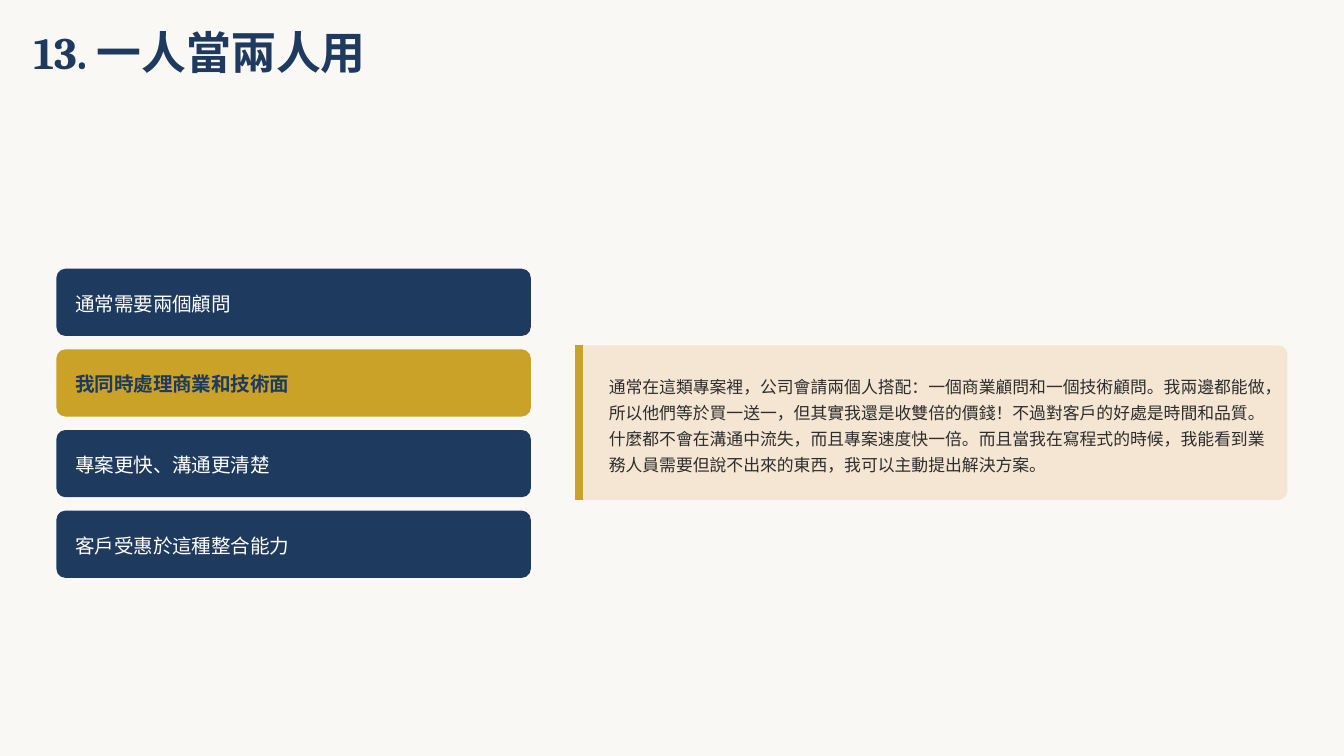
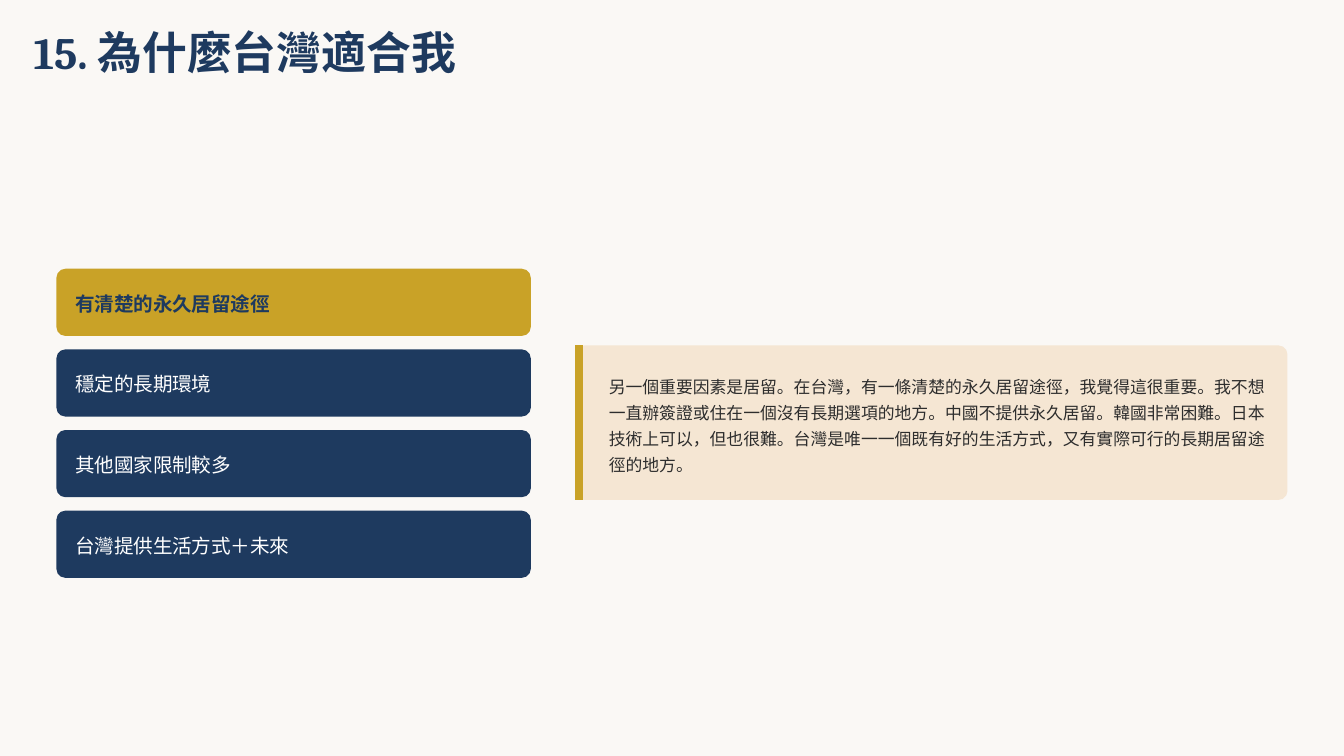
import pptx
import pptx.util
import pptx.dml.color
import pptx.enum.shapes
import pptx.oxml.ns
from lxml import etree

Inches = pptx.util.Inches
Pt = pptx.util.Pt
RGBColor = pptx.dml.color.RGBColor

# Shared style
NAVY = RGBColor(0x1E, 0x3A, 0x5F)
GOLD = RGBColor(0xC9, 0xA2, 0x27)
SAND = RGBColor(0xF5, 0xE6, 0xD3)
CREAM = RGBColor(0xFA, 0xF8, 0xF5)
WHITE = RGBColor(0xFF, 0xFF, 0xFF)
CHARCOAL = RGBColor(0x2D, 0x2D, 0x2D)
TITLE_FONT = "Cambria"
BODY_FONT = "Arial"

# Column of key points
POINT_LEFT, POINT_TOP = 0.42, 2
POINT_WIDTH, POINT_HEIGHT = 3.53, 0.5
POINT_STEP = 0.6

# Story panel
STORY_LEFT, STORY_TOP = 4.28, 2.57
STORY_WIDTH, STORY_HEIGHT = 5.3, 1.15
CORNER_RADIUS = 1 / 15


class Deck:
    """Holds the presentation, its style and the current slide."""

    def __init__(self):
        self.presentation = pptx.Presentation()
        # Widescreen 16:9
        self.presentation.slide_width = Inches(10)
        self.presentation.slide_height = Inches(10 * 9 / 16)
        self.slide = None

    def add_slide(self):
        self.slide = self.presentation.slides.add_slide(self.presentation.slide_layouts[6])
        background = self.slide.background.fill
        background.solid()
        background.fore_color.rgb = CREAM

    def text(self, content, left, top, width, height, size, line_spacing, color,
             font_name=BODY_FONT, bold=False):
        box = self.slide.shapes.add_textbox(
            Inches(left), Inches(top), Inches(width), Inches(height))
        frame = box.text_frame
        frame.word_wrap = True
        frame.margin_left = frame.margin_right = frame.margin_top = frame.margin_bottom = 0
        paragraph = frame.paragraphs[0]
        paragraph.text = content
        paragraph.line_spacing = Pt(line_spacing)
        paragraph.font.name = font_name
        paragraph.font.size = Pt(size)
        paragraph.font.bold = bold
        paragraph.font.color.rgb = color

    def card(self, left, top, width, height, color):
        shape = self.slide.shapes.add_shape(
            pptx.enum.shapes.MSO_SHAPE.ROUNDED_RECTANGLE,
            Inches(left), Inches(top), Inches(width), Inches(height))
        shape.adjustments[0] = CORNER_RADIUS / height
        shape.shadow.inherit = False
        shape.fill.solid()
        shape.fill.fore_color.rgb = color
        shape.line.fill.background()

    def vertical_line(self, left, top, height, color, weight):
        line = self.slide.shapes.add_connector(
            pptx.enum.shapes.MSO_CONNECTOR.STRAIGHT,
            Inches(left), Inches(top), Inches(left), Inches(top + height))
        line.line.color.rgb = color
        line.line.width = Pt(weight)
        properties = line.element.find(pptx.oxml.ns.qn("p:spPr"))
        etree.SubElement(properties, pptx.oxml.ns.qn("a:effectLst"))

    def title(self, content):
        self.text(content, 0.25, 0.25, 4.86, 0.33, 24, 24, NAVY, TITLE_FONT, bold=True)

    def points(self, labels, highlighted):
        for index, label in enumerate(labels):
            top = POINT_TOP + index * POINT_STEP
            is_key = index == highlighted
            self.card(POINT_LEFT, top, POINT_WIDTH, POINT_HEIGHT, GOLD if is_key else NAVY)
            self.text(label, POINT_LEFT + 0.14, top + 0.14, 3.31, 0.2, 10.5, 14.7,
                      NAVY if is_key else WHITE, bold=is_key)

    def story(self, content):
        self.card(STORY_LEFT, STORY_TOP, STORY_WIDTH, STORY_HEIGHT, SAND)
        self.vertical_line(STORY_LEFT + 0.03, STORY_TOP, STORY_HEIGHT, GOLD, 4.5)
        self.text(content, STORY_LEFT + 0.25, STORY_TOP + 0.19, 4.96, 0.77, 9, 13.9, CHARCOAL)


# Slide content: title, key points, index of the highlighted point, story
SLIDES = [
    (
        "13. 一人當兩人用",
        ["通常需要兩個顧問", "我同時處理商業和技術面", "專案更快、溝通更清楚", "客戶受惠於這種整合能力"],
        1,
        "通常在這類專案裡，公司會請兩個人搭配：一個商業顧問和一個技術顧問。我兩邊都能做，"
        "所以他們等於買一送一，但其實我還是收雙倍的價錢！不過對客戶的好處是時間和品質。"
        "什麼都不會在溝通中流失，而且專案速度快一倍。而且當我在寫程式的時候，"
        "我能看到業務人員需要但說不出來的東西，我可以主動提出解決方案。",
    ),
    (
        "15. 為什麼台灣適合我",
        ["有清楚的永久居留途徑", "穩定的長期環境", "其他國家限制較多", "台灣提供生活方式＋未來"],
        0,
        "另一個重要因素是居留。在台灣，有一條清楚的永久居留途徑，我覺得這很重要。"
        "我不想一直辦簽證或住在一個沒有長期選項的地方。中國不提供永久居留。韓國非常困難。"
        "日本技術上可以，但也很難。台灣是唯一一個既有好的生活方式，"
        "又有實際可行的長期居留途徑的地方。",
    ),
]


def main():
    deck = Deck()
    for title, points, highlighted, story in SLIDES:
        deck.add_slide()
        deck.title(title)
        deck.points(points, highlighted)
        deck.story(story)
    deck.presentation.save("out.pptx")


if __name__ == "__main__":
    main()
